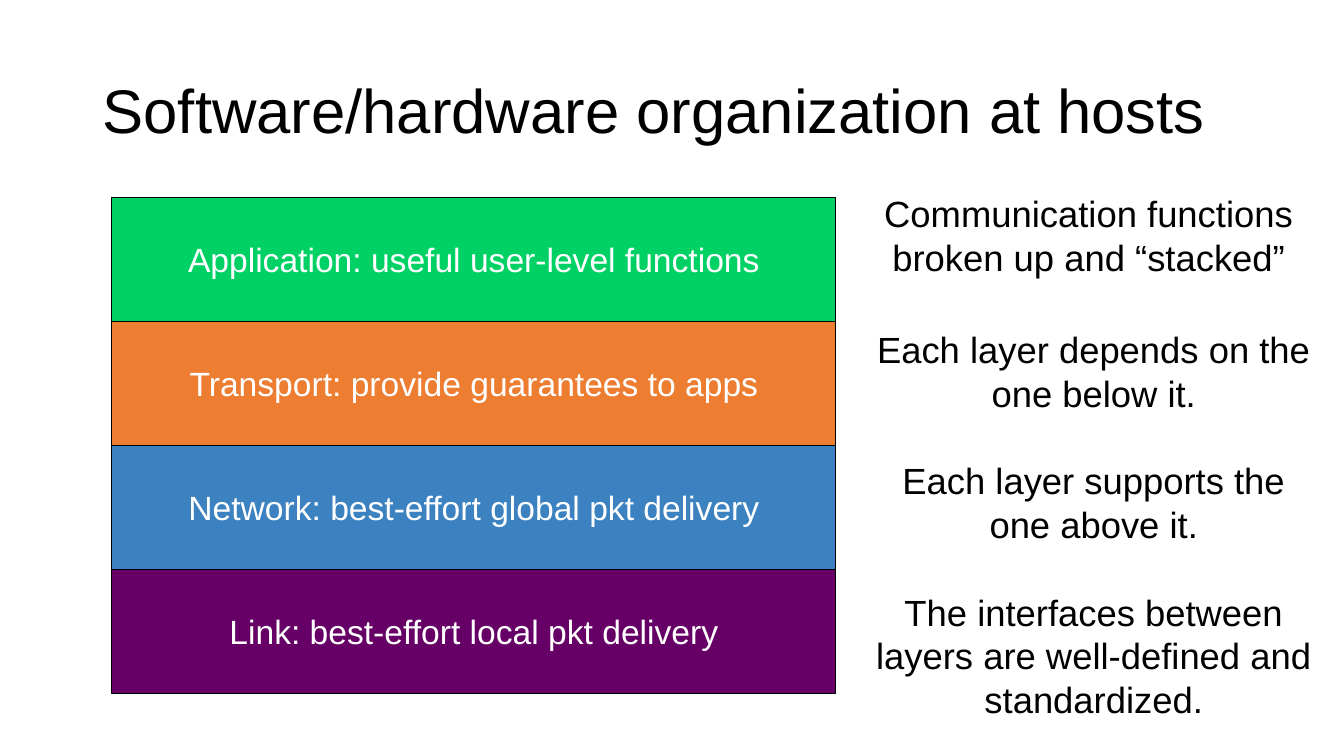
from dataclasses import dataclass

from pptx import Presentation
from pptx.dml.color import RGBColor
from pptx.enum.shapes import MSO_SHAPE
from pptx.enum.text import MSO_ANCHOR, PP_ALIGN
from pptx.shapes.autoshape import Shape
from pptx.util import Inches, Length, Pt

RECTANGLE = MSO_SHAPE.RECTANGLE
TOP, MIDDLE = MSO_ANCHOR.TOP, MSO_ANCHOR.MIDDLE
LEFT, CENTER = PP_ALIGN.LEFT, PP_ALIGN.CENTER

BLACK = RGBColor(0x00, 0x00, 0x00)
WHITE = RGBColor(0xFF, 0xFF, 0xFF)
GREEN = RGBColor(0x00, 0xD1, 0x64)
ORANGE = RGBColor(0xED, 0x7D, 0x31)
BLUE = RGBColor(0x3C, 0x82, 0xC0)
PURPLE = RGBColor(0x66, 0x00, 0x66)

FONT = "Arial"
STACK_LEFT, STACK_TOP = 1.11, 1.96
LAYER_WIDTH, LAYER_HEIGHT = 7.18, 1.23
NOTE_LINE = Pt(31.2)


@dataclass(frozen=True)
class Layer:
    text: str
    color: RGBColor


@dataclass(frozen=True)
class Note:
    left: float
    top: float
    height: float
    paragraphs: tuple[str, ...]


# Protocol stack, top layer first
LAYERS = (
    Layer("Application: useful user-level functions", GREEN),
    Layer("Transport: provide guarantees to apps", ORANGE),
    Layer("Network: best-effort global pkt delivery", BLUE),
    Layer("Link: best-effort local pkt delivery", PURPLE),
)

# Remarks beside the stack
NOTES = (
    Note(8.46, 1.85, 0.98, ("Communication functions broken up and “stacked”",)),
    Note(8.51, 3.2, 4.04, (
        "Each layer depends on the one below it.",
        "Each layer supports the one above it.",
        "The interfaces between layers are well-defined and standardized.",
    )),
)


def write_text(box: Shape, *texts: str, size: float, color: RGBColor = BLACK,
               align: PP_ALIGN = CENTER, anchor: MSO_ANCHOR = TOP,
               wrap: bool = True, line_spacing: float | Length = 1.0,
               gap: Length = Pt(0)) -> None:
    frame = box.text_frame
    frame.word_wrap = wrap
    frame.vertical_anchor = anchor
    for index, text in enumerate(texts):
        para = frame.add_paragraph() if index else frame.paragraphs[0]
        para.alignment = align
        para.line_spacing = line_spacing
        if index:
            para.space_before = gap
        span = para.add_run()
        span.text = text
        span.font.name = FONT
        span.font.size = Pt(size)
        span.font.color.rgb = color


def add_text_box(slide, left: float, top: float, width: float, height: float) -> Shape:
    return slide.shapes.add_textbox(
        Inches(left), Inches(top), Inches(width), Inches(height))


def add_layer(slide, layer: Layer, row: int) -> None:
    box = slide.shapes.add_shape(
        RECTANGLE, Inches(STACK_LEFT), Inches(STACK_TOP + row * LAYER_HEIGHT),
        Inches(LAYER_WIDTH), Inches(LAYER_HEIGHT))
    box.shadow.inherit = False
    box.fill.solid()
    box.fill.fore_color.rgb = layer.color
    box.line.color.rgb = BLACK
    box.line.width = Pt(0.75)
    write_text(box, layer.text, size=24, color=WHITE, anchor=MIDDLE, wrap=False)


def add_note(slide, note: Note) -> None:
    box = add_text_box(slide, note.left, note.top, 4.68, note.height)
    write_text(box, *note.paragraphs, size=26,
               line_spacing=NOTE_LINE, gap=NOTE_LINE)


def main() -> None:
    deck = Presentation()
    deck.slide_width, deck.slide_height = Inches(13.33), Inches(7.5)
    slide = deck.slides.add_slide(deck.slide_layouts[6])

    # Title
    title = add_text_box(slide, 0.92, 0.4, 11.96, 1.45)
    write_text(title, "Software/hardware organization at hosts", size=44,
               align=LEFT, anchor=MIDDLE, line_spacing=0.9)

    # Stack and remarks
    for row, layer in enumerate(LAYERS):
        add_layer(slide, layer, row)
    for note in NOTES:
        add_note(slide, note)

    deck.save("out.pptx")


if __name__ == "__main__":
    main()
